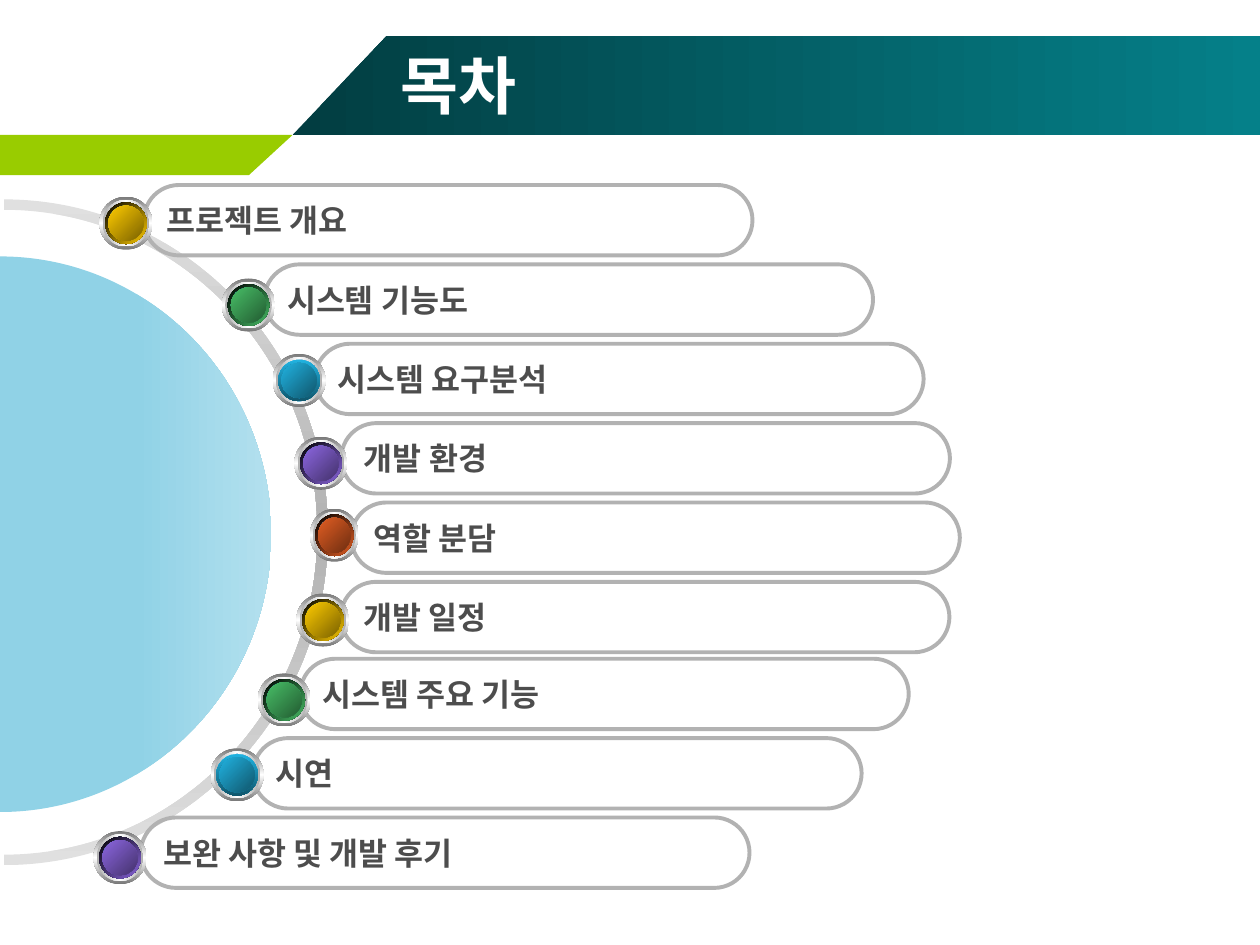
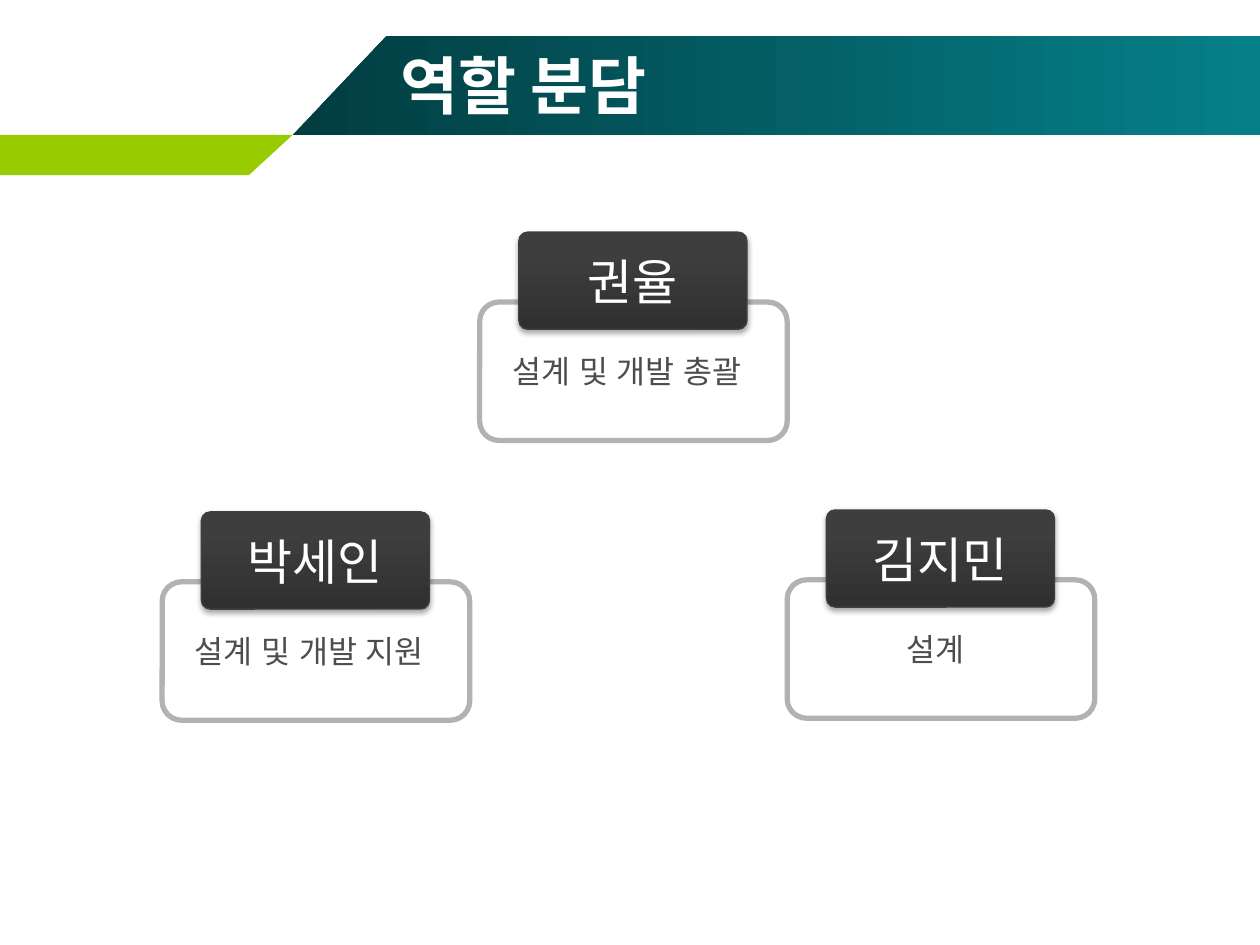
import copy

from lxml import etree
from pptx import Presentation
from pptx.dml.color import RGBColor
from pptx.enum import shapes, text
from pptx.oxml import ns
from pptx.util import Cm, Pt

# ---- Content (lengths in centimetres) ----
AGENDA_TITLE = "목차"
AGENDA = [  # label, pill left, gem centre, gem colour
    ("프로젝트 개요", 2.9, (2.54, 4.5), "gold"),
    ("시스템 기능도", 5.33, (5.01, 6.15), "green"),
    ("시스템 요구분석", 6.35, (6.03, 7.67), "blue"),
    ("개발 환경", 6.88, (6.47, 9.34), "purple"),
    ("역할 분담", 7.08, (6.74, 10.79), "orange"),
    ("개발 일정", 6.87, (6.51, 12.5), "gold"),
    ("시스템 주요 기능", 6.05, (5.73, 14.11), "green"),
    ("시연", 5.1, (4.78, 15.62), "blue"),
    ("보완 사항 및 개발 후기", 2.84, (2.42, 17.29), "purple"),
]
ROLES_TITLE = "역할 분담"
ROLES = [  # name, duty, frame left and top, extra indent of the duty
    ("권율", "설계 및 개발 총괄", 9.67, 6.09, 0),
    ("박세인", "설계 및 개발 지원", 3.27, 11.73, 0),
    ("김지민", "설계", 15.87, 11.69, 1.75),
]

# ---- Shared style ----
WIDTH, HEIGHT = 25.4, 19.05
KOREAN, LATIN = "Noto Sans CJK KR", "Arial"
WHITE, INK, GREY, LIME = "FFFFFF", "4D4D4D", "B2B2B2", "99CC00"
BAND = [(0, "023D41"), (100, "058089")]
RING = [(0, "E0E0E0"), (50, GREY), (100, "E0E0E0")]
DISC = [(0, "90D2E6"), (50, "90D2E6"), (100, "B3E0EE")]
NAME_PLATE = [(0, "303030"), (80, "3E3E3E"), (100, "3E3E3E")]
GEMS = {  # rim start, rim end, rim angle, face start, face end
    "gold": ("000000", "FFCC00", 45, "FFCC00", "7B6200"),
    "green": ("000000", "48BE67", 45, "48BE67", "235C32"),
    "blue": ("21B3E1", "10566C", 90, "21B3E1", "10566C"),
    "purple": ("000000", "8D67E1", 45, "8D67E1", "44326C"),
    "orange": ("000000", "E35E23", 45, "E35E23", "6E2E11"),
}
PILL_WIDTH, PILL_HEIGHT = 12.27, 1.42
FIRST_PILL, PILL_STEP = 3.73, 1.6
LOWER_PILLS, LOWER_LIFT = 6, 0.05  # the last pills sit slightly higher
CURVE = 0.5523  # control point ratio of a quarter ellipse


def color(value):
    return RGBColor.from_string(value)


def paint(shape, fill=None, angle=0, line=None, line_width=1):
    """Fill with nothing, one colour or gradient stops (angle clockwise)."""
    shape.shadow.inherit = False
    if fill is None:
        shape.fill.background()
    elif isinstance(fill, str):
        shape.fill.solid()
        shape.fill.fore_color.rgb = color(fill)
    else:
        shape.fill.gradient()
        shape.fill.gradient_angle = (360 - angle) % 360
        stop_list = shape._element.spPr.find(".//" + ns.qn("a:gsLst"))
        for _ in fill[2:]:
            stop_list.append(copy.deepcopy(stop_list[0]))
        for stop, (position, value) in zip(shape.fill.gradient_stops, fill):
            stop.position = position / 100
            stop.color.rgb = color(value)
    if line:
        shape.line.color.rgb = color(line)
        shape.line.width = Pt(line_width)
    else:
        shape.line.fill.background()
    return shape


def add_preset(parent, kind, left, top, width, height, radius=None, **style):
    shape = parent.shapes.add_shape(kind, Cm(left), Cm(top), Cm(width), Cm(height))
    if radius is not None:
        shape.adjustments[0] = radius
    return paint(shape, **style)


def add_outline(slide, points, curve_starts=(), **style):
    """Closed outline; three segments from each curve start become one curve."""
    corners = [(Cm(x), Cm(y)) for x, y in points]
    builder = slide.shapes.build_freeform(*corners[0])
    builder.add_line_segments(corners[1:], close=True)
    shape = builder.convert_to_shape()
    segments = shape._element.spPr.findall(".//" + ns.qn("a:lnTo"))
    for start in curve_starts:
        curve = etree.Element(ns.qn("a:cubicBezTo"))
        segments[start].addprevious(curve)
        for segment in segments[start:start + 3]:
            curve.append(segment[0])
            segment.getparent().remove(segment)
    return paint(shape, **style)


def add_box(slide, left, top, width, height):
    return slide.shapes.add_textbox(Cm(left), Cm(top), Cm(width), Cm(height))


def write(shape, words, size, value, korean=KOREAN, bold=False, centred=False,
          anchor=text.MSO_ANCHOR.MIDDLE):
    frame = shape.text_frame
    frame.word_wrap = True
    frame.vertical_anchor = anchor
    paragraph = frame.paragraphs[0]
    paragraph.alignment = text.PP_ALIGN.CENTER if centred else text.PP_ALIGN.LEFT
    run = paragraph.add_run()
    run.text = words
    run.font.size, run.font.bold, run.font.name = Pt(size), bold, LATIN
    run.font.color.rgb = color(value)
    east_asian = etree.SubElement(run._r.get_or_add_rPr(), ns.qn("a:ea"))
    east_asian.set("typeface", korean)


def add_soft_shadow(shape):
    effects = shape._element.spPr.find(ns.qn("a:effectLst"))
    shadow = etree.SubElement(effects, ns.qn("a:outerShdw"), blurRad="40000",
                              dist="23000", dir="5400000", rotWithShape="0")
    black = etree.SubElement(shadow, ns.qn("a:srgbClr"), val="000000")
    etree.SubElement(black, ns.qn("a:alpha"), val="35000")


def set_opacity(shape, percent):
    solid = shape._element.spPr.find(ns.qn("a:solidFill"))
    etree.SubElement(solid[0], ns.qn("a:alpha"), val=str(percent * 1000))


def add_titled_slide(presentation, title):
    slide = presentation.slides.add_slide(presentation.slide_layouts[6])
    add_outline(slide, [(5.9, 2.72), (WIDTH, 2.72), (WIDTH, 0.72), (7.8, 0.72)],
                fill=BAND)
    add_outline(slide, [(0, 2.72), (5.9, 2.72), (5.02, 3.53), (0, 3.53)], fill=LIME)
    write(add_box(slide, 7.83, 0.91, 16.94, 1.57), title, 36, WHITE, bold=True)
    return slide


# ---- Agenda ----
def right_arc(center_x, center_y, radius_x, radius_y):
    """Curve points of a half ellipse, from its top round the right side."""
    steps = [(0, -1), (CURVE, -1), (1, -CURVE), (1, 0),
             (1, CURVE), (CURVE, 1), (0, 1)]
    return [(center_x + x * radius_x, center_y + y * radius_y) for x, y in steps]


def add_gem(slide, center, name):
    rim_start, rim_end, rim_angle, face_start, face_end = GEMS[name]
    layers = [  # diameter, stops, angle
        (1.07, [(0, "787878"), (50, WHITE), (100, "787878")], 90),
        (0.94, [(0, "B0B0B0"), (50, WHITE), (100, "B0B0B0")], 0),
        (0.84, [(0, WHITE), (50, "2CA9D0"), (100, WHITE)], 45),
        (0.84, [(0, rim_start), (100, rim_end)], rim_angle),
        (0.71, [(0, "22819F"), (50, "2CA9D0"), (100, "22819F")], 315),
        (0.71, [(0, face_start), (100, face_end)], 45),
    ]
    squeeze = 0.92 if name == "orange" else 1
    gem = slide.shapes.add_group_shape()
    for height, stops, angle in layers:
        width = height * squeeze
        add_preset(gem, shapes.MSO_SHAPE.OVAL, center[0] - width / 2,
                   center[1] - height / 2, width, height, fill=stops, angle=angle)


def build_agenda(presentation):
    slide = add_titled_slide(presentation, AGENDA_TITLE)
    outer = right_arc(0.08, 10.73, 6.53, 6.71)
    inner = right_arc(0.08, 10.73, 6.32, 6.5)
    add_outline(slide, outer + inner[::-1], curve_starts=(0, 3, 7, 10),
                fill=RING, angle=90)
    add_outline(slide, right_arc(0, 10.77, 5.47, 5.6), curve_starts=(0, 3), fill=DISC)
    for index, (label, left, _, _) in enumerate(AGENDA):
        lift = LOWER_LIFT if index >= LOWER_PILLS else 0
        pill = add_preset(slide, shapes.MSO_SHAPE.ROUNDED_RECTANGLE, left,
                          FIRST_PILL + index * PILL_STEP - lift,
                          PILL_WIDTH, PILL_HEIGHT,
                          radius=0.5, line=GREY, line_width=2.25)
        write(pill, label, 18, INK, bold=True)
    for _, _, center, name in AGENDA:
        add_gem(slide, center, name)


# ---- Roles ----
def build_roles(presentation):
    slide = add_titled_slide(presentation, ROLES_TITLE)
    rounded = shapes.MSO_SHAPE.ROUNDED_RECTANGLE
    for name, duty, left, top, indent in ROLES:
        card = slide.shapes.add_group_shape()
        frame = add_preset(card, rounded, left, top, 6.2, 2.79, radius=0.14,
                           fill=WHITE, line=GREY, line_width=3)
        set_opacity(frame, 31)
        plate = add_preset(card, rounded, left + 0.79, top - 1.41, 4.6, 1.96,
                           radius=0.09, fill=NAME_PLATE, angle=270,
                           line="3F3F3F", line_width=0.75)
        add_soft_shadow(plate)
        write(plate, name, 28, WHITE, centred=True)
        note = add_box(slide, left + 0.41, top + 0.89, 6.4, 1.02)
        note.text_frame.margin_left = Cm(0.25 + indent)
        write(note, duty, 18, INK, korean=LATIN, anchor=text.MSO_ANCHOR.TOP)


def main():
    presentation = Presentation()
    presentation.slide_width, presentation.slide_height = Cm(WIDTH), Cm(HEIGHT)
    build_agenda(presentation)
    build_roles(presentation)
    presentation.save("out.pptx")


if __name__ == "__main__":
    main()
